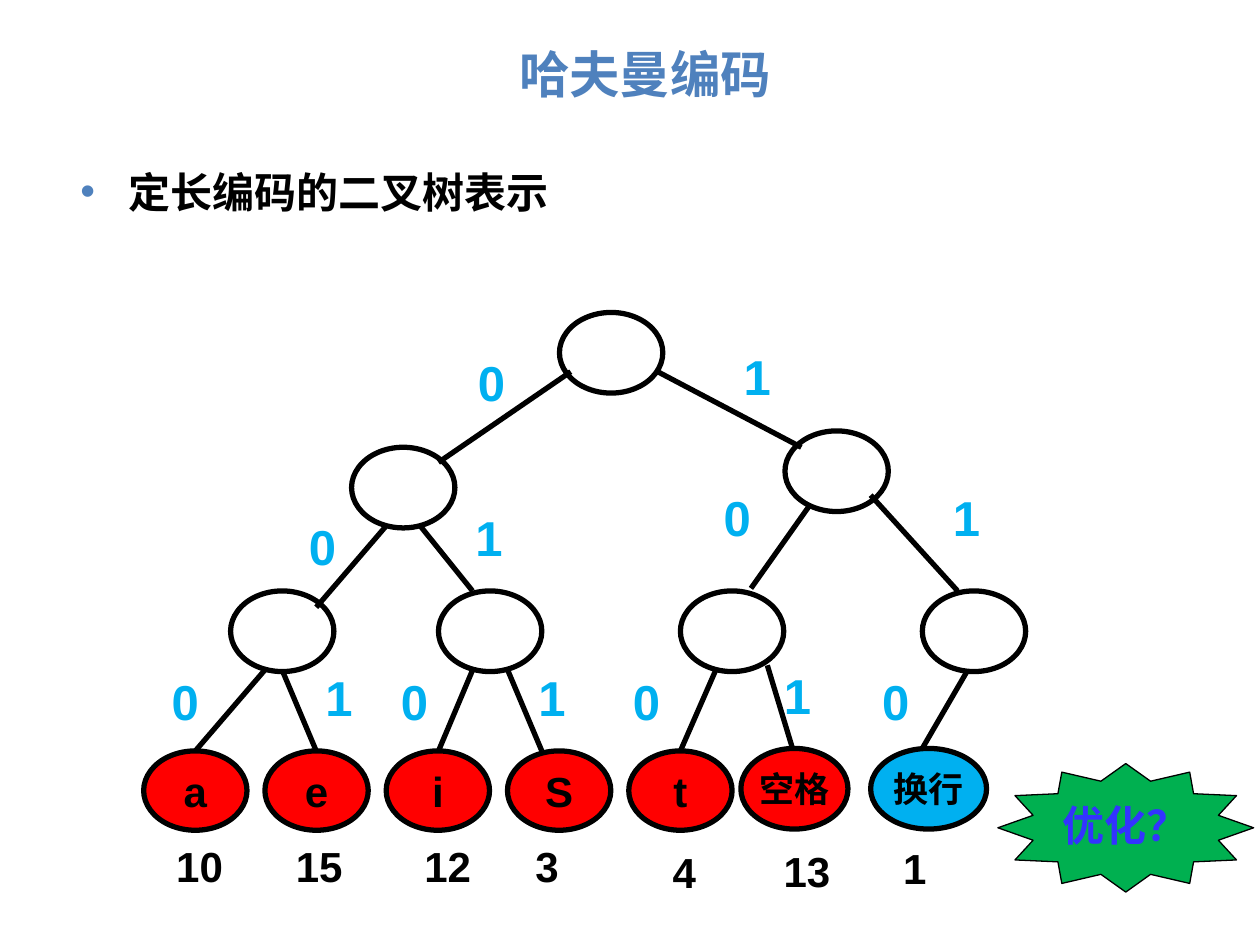
from dataclasses import dataclass

from lxml.etree import SubElement
from pptx import Presentation
from pptx.dml.color import RGBColor
from pptx.enum.shapes import MSO_CONNECTOR, MSO_SHAPE
from pptx.enum.text import MSO_ANCHOR, PP_ALIGN
from pptx.oxml.ns import qn
from pptx.util import Inches, Pt


@dataclass(frozen=True)
class Theme:
    font: str = "Arial"
    accent: str = "4F81BD"
    ink: str = "000000"
    leaf: str = "FF0000"
    bit: str = "00B0F0"
    star: str = "00B050"
    question: str = "3333FF"
    title_size: float = 28.8
    text_size: int = 24
    bit_size: int = 28
    word_size: int = 20
    edge_width: int = 3


theme = Theme()


def write(shape, text, size, color, align, anchor=MSO_ANCHOR.TOP, wrap=True):
    frame = shape.text_frame
    frame.word_wrap = wrap
    frame.vertical_anchor = anchor
    para = frame.paragraphs[0]
    para.alignment = align
    span = para.add_run()
    span.text = text
    span.font.name = theme.font
    span.font.size = Pt(size)
    span.font.bold = True
    span.font.color.rgb = RGBColor.from_string(color)
    return para


def add_figure(kind, left, top, width, height, fill, line_width):
    figure = page.shapes.add_shape(kind, Inches(left), Inches(top), Inches(width), Inches(height))
    figure.shadow.inherit = False
    if fill:
        figure.fill.solid()
        figure.fill.fore_color.rgb = RGBColor.from_string(fill)
    else:
        figure.fill.background()
    figure.line.color.rgb = RGBColor.from_string(theme.ink)
    figure.line.width = Pt(line_width)
    return figure


deck = Presentation()
deck.slide_width, deck.slide_height = Inches(10), Inches(7.5)
page = deck.slides.add_slide(deck.slide_layouts[5])

title = page.shapes.title
title.left, title.top, title.width, title.height = Inches(0.54), Inches(0.27), Inches(9.16), Inches(0.63)
write(title, "哈夫曼编码", theme.title_size, theme.accent, PP_ALIGN.CENTER, MSO_ANCHOR.MIDDLE)

body = page.shapes.add_textbox(Inches(0.54), Inches(1.27), Inches(9.16), Inches(0.6))
para = write(body, "定长编码的二叉树表示", theme.text_size, theme.ink, PP_ALIGN.LEFT)
properties = para._p.get_or_add_pPr()
properties.set("marL", str(Inches(0.38)))
properties.set("indent", str(-Inches(0.38)))
bullet_color = SubElement(properties, qn("a:buClr"))
SubElement(bullet_color, qn("a:srgbClr"), val=theme.accent)
SubElement(properties, qn("a:buFont"), typeface=theme.font)
SubElement(properties, qn("a:buChar"), char="•")

edges = [
    (4.53, 2.95, 3.48, 3.67), (5.22, 2.95, 6.36, 3.55),
    (3.06, 4.18, 2.51, 4.82), (3.34, 4.18, 3.75, 4.69),
    (6.42, 4.02, 5.96, 4.67), (6.91, 3.93, 7.6, 4.69),
    (2.1, 5.32, 1.55, 5.96), (2.24, 5.32, 2.51, 5.96),
    (3.75, 5.32, 3.48, 5.96), (4.03, 5.32, 4.3, 5.96),
    (5.68, 5.32, 5.4, 5.96), (6.09, 5.28, 6.29, 5.94),
    (7.68, 5.32, 7.32, 5.94),
]
for edge in edges:
    branch = page.shapes.add_connector(MSO_CONNECTOR.STRAIGHT, *(Inches(value) for value in edge))
    branch.line.color.rgb = RGBColor.from_string(theme.ink)
    branch.line.width = Pt(theme.edge_width)
    SubElement(branch._element.spPr, qn("a:effectLst"))

inner_nodes = [(4.44, 2.48), (2.79, 3.55), (6.23, 3.42), (1.83, 4.69), (3.48, 4.69), (5.4, 4.69), (7.32, 4.69)]
for left, top in inner_nodes:
    add_figure(MSO_SHAPE.OVAL, left, top, 0.82, 0.64, None, theme.edge_width)

for index, letter in enumerate("aeiSt"):
    leaf = add_figure(MSO_SHAPE.OVAL, 1.14 + 0.9625 * index, 5.96, 0.82, 0.63, theme.leaf, theme.edge_width)
    write(leaf, letter, theme.text_size, theme.ink, PP_ALIGN.CENTER, MSO_ANCHOR.MIDDLE)

for word, left, width, fill in [("空格", 5.88, 0.85, theme.leaf), ("换行", 6.91, 0.92, theme.bit)]:
    leaf = add_figure(MSO_SHAPE.OVAL, left, 5.94, width, 0.64, fill, theme.edge_width)
    leaf.text_frame.margin_left = leaf.text_frame.margin_right = 0
    write(leaf, word, theme.word_size, theme.ink, PP_ALIGN.CENTER, MSO_ANCHOR.MIDDLE)

counts = [
    ("10", 1.3, 6.62, 0.88), ("15", 2.25, 6.62, 0.8), ("12", 3.27, 6.62, 0.88), ("3", 4.15, 6.62, 0.66),
    ("4", 5.24, 6.67, 0.66), ("13", 6.12, 6.66, 0.88), ("1", 7.07, 6.64, 0.58),
]
for count, left, top, width in counts:
    box = page.shapes.add_textbox(Inches(left), Inches(top), Inches(width), Inches(0.55))
    write(box, count, theme.text_size, theme.ink, PP_ALIGN.JUSTIFY)

bits = {
    "0": [(3.69, 2.75), (2.35, 4.05), (5.64, 3.82), (1.26, 5.28), (3.08, 5.28), (4.92, 5.28), (6.9, 5.28)],
    "1": [(5.8, 2.7), (3.67, 3.98), (7.46, 3.82), (2.48, 5.25), (4.17, 5.25), (6.12, 5.23)],
}
for bit, places in bits.items():
    for left, top in places:
        box = page.shapes.add_textbox(Inches(left), Inches(top), Inches(0.42), Inches(0.57))
        write(box, bit, theme.bit_size, theme.bit, PP_ALIGN.CENTER, wrap=False)

star = add_figure(MSO_SHAPE.STAR_12_POINT, 7.92, 6.06, 2.03, 1.02, theme.star, 0.75)
star.text_frame.margin_left = star.text_frame.margin_right = 0
write(star, "优化？", theme.text_size, theme.question, PP_ALIGN.CENTER)

deck.save("out.pptx")
